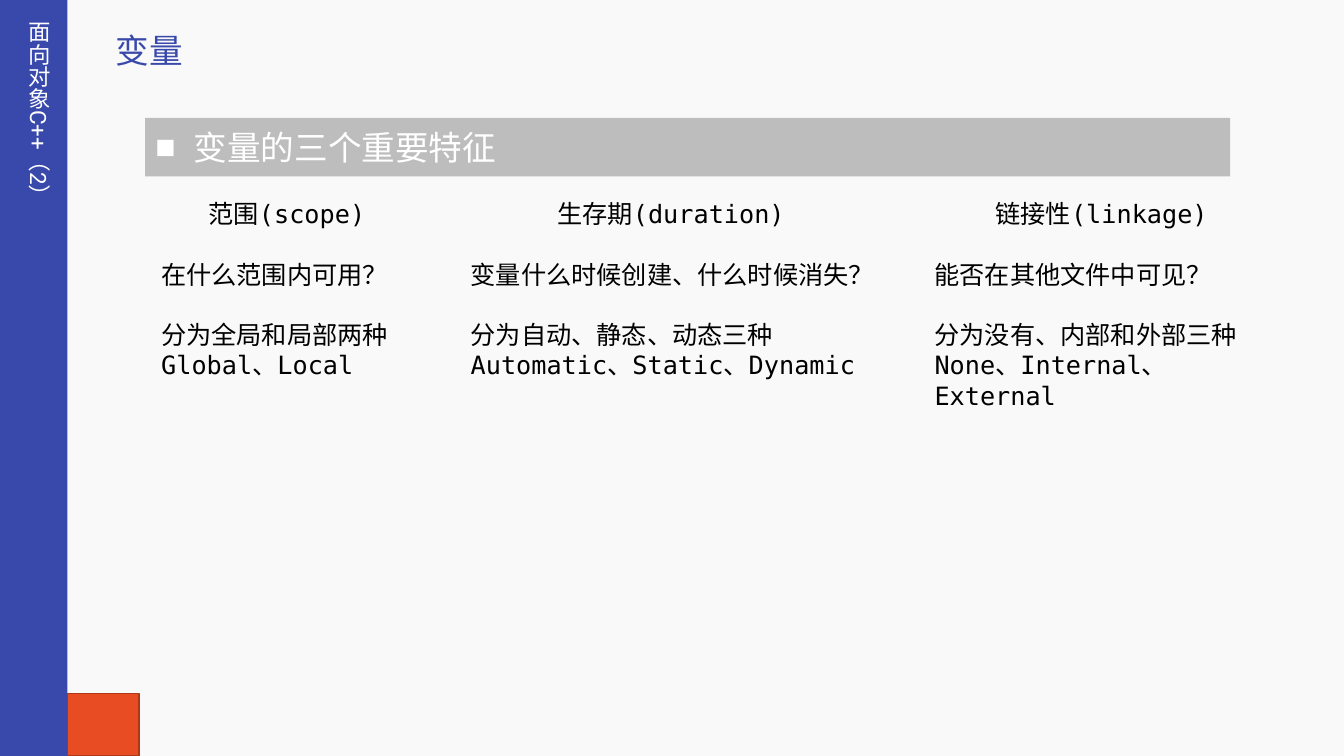
"""Build the slide on the three key features of C++ variables."""
from dataclasses import dataclass

from lxml.etree import SubElement
from pptx import Presentation
from pptx.dml.color import RGBColor as RGB
from pptx.enum.shapes import MSO_SHAPE as SHAPE
from pptx.enum.text import MSO_ANCHOR as ANCHOR
from pptx.enum.text import MSO_AUTO_SIZE as FIT
from pptx.enum.text import PP_ALIGN as ALIGN
from pptx.oxml.ns import qn
from pptx.shapes.base import BaseShape
from pptx.slide import Slide
from pptx.text.text import TextFrame, _Paragraph as Paragraph
from pptx.util import Inches, Pt


@dataclass(frozen=True)
class Theme:
    paper: RGB = RGB(0xF9, 0xF9, 0xF9)
    indigo: RGB = RGB(0x39, 0x49, 0xAB)
    orange: RGB = RGB(0xE8, 0x4C, 0x22)
    rust: RGB = RGB(0xAC, 0x38, 0x19)
    grey: RGB = RGB(0xBD, 0xBD, 0xBD)
    white: RGB = RGB(0xFF, 0xFF, 0xFF)
    black: RGB = RGB(0, 0, 0)
    heading_pt: float = 24
    column_pt: float = 18
    side_pt: float = 16
    gap_pt: float = 21.6
    sans: str = "Roboto"
    cjk: str = "Noto Sans CJK SC"
    mono: str = "DejaVu Sans Mono"


@dataclass(frozen=True)
class Box:
    left: float
    top: float
    width: float
    height: float

    def lengths(self) -> tuple[int, ...]:
        return tuple(Inches(v) for v in (self.left, self.top, self.width, self.height))


@dataclass(frozen=True)
class Feature:
    left: float
    width: float
    name: str
    question: str
    kinds: str
    terms: str


THEME = Theme()
FEATURES = (
    Feature(1.5, 2.69, "范围(scope)", "在什么范围内可用？",
            "分为全局和局部两种", "Global、Local"),
    Feature(4.57, 4.17, "生存期(duration)", "变量什么时候创建、什么时候消失？",
            "分为自动、静态、动态三种", "Automatic、Static、Dynamic"),
    Feature(9.17, 3.51, "链接性(linkage)", "能否在其他文件中可见？",
            "分为没有、内部和外部三种", "None、Internal、External"),
)


def add_run(p: Paragraph, text: str, size: float, font: str, color: RGB) -> None:
    r = p.add_run()
    r.text = text
    r.font.size = Pt(size)
    r.font.name = font
    r.font.color.rgb = color
    SubElement(r.font._element, qn("a:ea"), typeface=THEME.cjk)


def add_rect(s: Slide, box: Box, fill: RGB) -> BaseShape:
    sp = s.shapes.add_shape(SHAPE.RECTANGLE, *box.lengths())
    sp.shadow.inherit = False
    sp.fill.solid()
    sp.fill.fore_color.rgb = fill
    sp.line.fill.background()
    return sp


def add_text_frame(s: Slide, box: Box, wrap: bool) -> TextFrame:
    tf = s.shapes.add_textbox(*box.lengths()).text_frame
    tf.word_wrap = wrap
    return tf


def place(sp: BaseShape, box: Box, anchor: ANCHOR, wrap: bool) -> Paragraph:
    sp.left, sp.top, sp.width, sp.height = box.lengths()
    tf = sp.text_frame
    tf.auto_size = FIT.NONE
    tf.word_wrap = wrap
    tf.vertical_anchor = anchor
    p = tf.paragraphs[0]
    p.alignment = ALIGN.LEFT
    p.space_before = Pt(0)
    return p


def add_sidebar(s: Slide) -> None:
    corner = add_rect(s, Box(0.67, 6.88, 0.71, 0.62), THEME.orange)
    corner.line.color.rgb = THEME.rust
    corner.line.width = Pt(1)
    add_rect(s, Box(0, 0, 0.67, 7.5), THEME.indigo)
    tf = add_text_frame(s, Box(0.1, 0.11, 0.47, 2), False)
    tf._txBody.bodyPr.set("vert", "eaVert")
    add_run(tf.paragraphs[0], "面向对象C++（2）", THEME.side_pt, THEME.sans, THEME.white)


def add_headings(s: Slide) -> None:
    title, bar = s.shapes.title, s.placeholders[1]
    p = place(title, Box(1.05, 0.25, 0.88, 0.5), ANCHOR.TOP, False)
    add_run(p, "变量", THEME.heading_pt, THEME.sans, THEME.indigo)

    bar.fill.solid()
    bar.fill.fore_color.rgb = THEME.grey
    p = place(bar, Box(1.44, 1.17, 10.76, 0.58), ANCHOR.MIDDLE, True)
    pPr = p._p.get_or_add_pPr()
    pPr.set("marL", str(Inches(0.38)))
    pPr.set("indent", str(Inches(-0.38)))
    SubElement(pPr, qn("a:buChar"), char="■")
    add_run(p, "变量的三个重要特征", THEME.heading_pt, THEME.cjk, THEME.white)


def add_feature(s: Slide, feature: Feature) -> None:
    tf = add_text_frame(s, Box(feature.left, 1.92, feature.width, 1.92), True)
    lines = (
        (feature.name, ALIGN.CENTER, 0),
        (feature.question, ALIGN.LEFT, THEME.gap_pt),
        (feature.kinds, ALIGN.LEFT, THEME.gap_pt),
        (feature.terms, ALIGN.LEFT, 0),
    )
    for i, (text, align, gap) in enumerate(lines):
        p = tf.add_paragraph() if i else tf.paragraphs[0]
        p.alignment = align
        p.space_before = Pt(gap)
        add_run(p, text, THEME.column_pt, THEME.mono, THEME.black)


def main() -> None:
    prs = Presentation()
    prs.slide_width, prs.slide_height = Inches(13.33), Inches(7.5)
    s = prs.slides.add_slide(prs.slide_layouts[1])
    s.background.fill.solid()
    s.background.fill.fore_color.rgb = THEME.paper
    add_sidebar(s)
    add_headings(s)
    for feature in FEATURES:
        add_feature(s, feature)
    prs.save("out.pptx")


if __name__ == "__main__":
    main()
